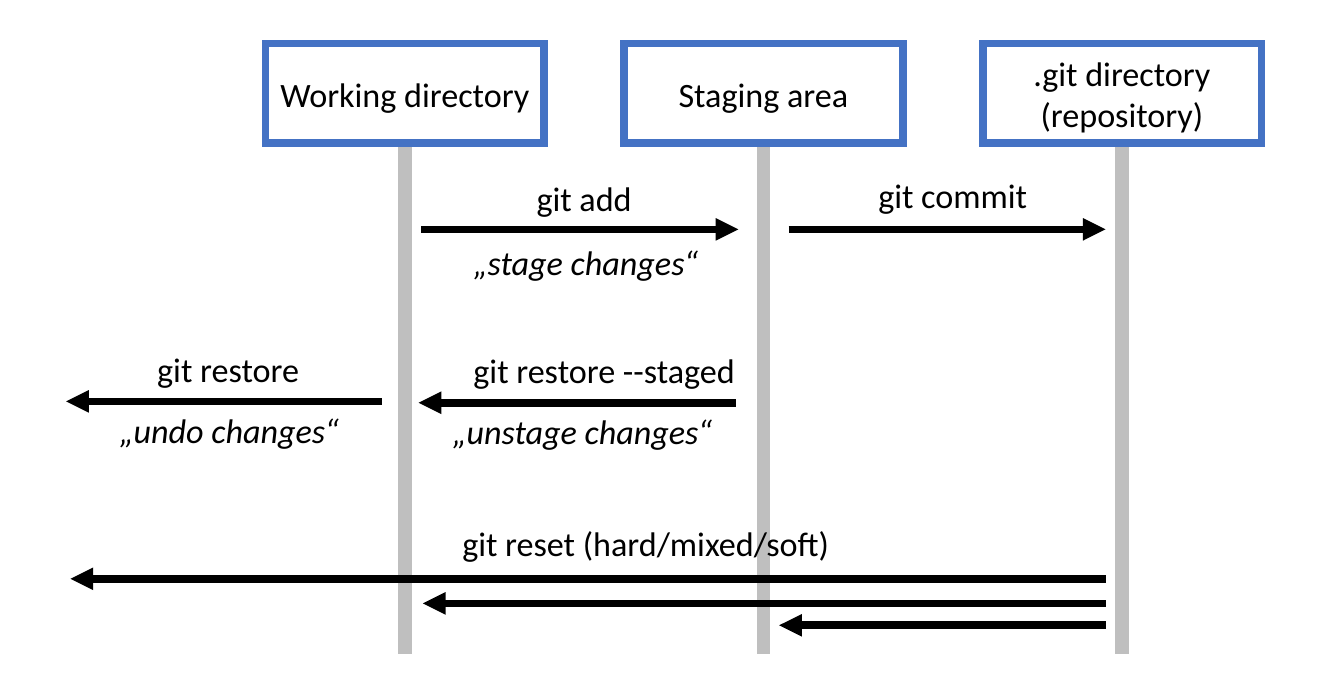
"""Draw how git commands move changes between the working directory, staging area and repository."""
import pptx
import pptx.util
import pptx.dml.color
import pptx.enum.shapes
import pptx.enum.text
import pptx.oxml.ns
from lxml import etree

BLACK = pptx.dml.color.RGBColor(0x00, 0x00, 0x00)
WHITE = pptx.dml.color.RGBColor(0xFF, 0xFF, 0xFF)
BLUE = pptx.dml.color.RGBColor(0x44, 0x72, 0xC4)
GREY = pptx.dml.color.RGBColor(0xBF, 0xBF, 0xBF)

LANE_STEP = 10
BOX_WIDTH, BOX_TOP, BOX_HEIGHT = 7.77, 3.2, 7.3
LANE_END = 47.9
LABEL_HEIGHT = 4


class Diagram:
    font, size = "Calibri", 18
    left, column, row = 0.34, 0.26, 0.1

    def __init__(self, s):
        self.s = s
        self.column = 2.625 / LANE_STEP

    def x(self, col):
        return pptx.util.Inches(self.left + col * self.column)

    def y(self, row):
        return pptx.util.Inches(row * self.row)

    def frame(self, center, top, width, height):
        left = self.x(center - width / 2)
        return left, self.y(top), self.x(center + width / 2) - left, self.y(height)

    def add_text(self, tf, text, italic=False):
        tf.word_wrap = True
        p = tf.paragraphs[0]
        p.alignment = pptx.enum.text.PP_ALIGN.CENTER
        r = p.add_run()
        r.text = text
        r.font.name, r.font.size = self.font, pptx.util.Pt(self.size)
        r.font.italic = italic
        r.font.color.rgb = BLACK

    def stroke(self, sp, color, width):
        sp.line.color.rgb = color
        sp.line.width = pptx.util.Pt(width)
        return sp.element.spPr.find(pptx.oxml.ns.qn("a:ln"))

    def box(self, center, text):
        sp = self.s.shapes.add_shape(pptx.enum.shapes.MSO_SHAPE.RECTANGLE,
                                     *self.frame(center, BOX_TOP, BOX_WIDTH, BOX_HEIGHT))
        sp.shadow.inherit = False
        sp.fill.solid()
        sp.fill.fore_color.rgb = WHITE
        ln = self.stroke(sp, BLUE, 4)
        etree.SubElement(ln, pptx.oxml.ns.qn("a:miter"), lim="800000")
        sp.text_frame.vertical_anchor = pptx.enum.text.MSO_ANCHOR.MIDDLE
        self.add_text(sp.text_frame, text)

    def label(self, center, top, width, text, italic=False):
        sp = self.s.shapes.add_textbox(*self.frame(center, top, width, LABEL_HEIGHT))
        self.add_text(sp.text_frame, text, italic)

    def line(self, start, end, color, width, arrow=False):
        sp = self.s.shapes.add_connector(
            pptx.enum.shapes.MSO_CONNECTOR.STRAIGHT,
            self.x(start[0]), self.y(start[1]), self.x(end[0]), self.y(end[1]))
        ln = self.stroke(sp, color, width)
        if arrow:
            etree.SubElement(ln, pptx.oxml.ns.qn("a:tailEnd"), type="triangle")
        etree.SubElement(sp.element.spPr, pptx.oxml.ns.qn("a:effectLst"))

    def arrow(self, start, end, row):
        self.line((start, row), (end, row), BLACK, 4, arrow=True)


prs = pptx.Presentation()
prs.slide_width = pptx.util.Inches(9.84)
prs.slide_height = pptx.util.Inches(5.12)
diagram = Diagram(prs.slides.add_slide(prs.slide_layouts[6]))

places = ["Working directory", "Staging area", ".git directory (repository)"]
for number, place in enumerate(places, 1):
    lane = number * LANE_STEP
    diagram.line((lane, BOX_TOP + BOX_HEIGHT), (lane, LANE_END), GREY, 7)
    diagram.box(lane, place)

for start, end, row in [
    (10.46, 19.3, 16.8),
    (20.7, 29.54, 16.8),
    (9.35, 0.55, 29.4),
    (19.22, 10.38, 29.5),
    (29.54, 0.67, 42.4),
    (29.54, 10.5, 44.2),
    (29.54, 20.44, 45.8),
]:
    diagram.arrow(start, end, row)

for center, top, width, command in [
    (15, 12.5, 4.61, "git add"),
    (25.28, 12.3, 5.56, "git commit"),
    (5.07, 25, 5.07, "git restore"),
    (15.56, 25.1, 8.99, "git restore --staged"),
    (16.72, 37.8, 13.14, "git reset (hard/mixed/soft)"),
]:
    diagram.label(center, top, width, command)

for center, top, width, effect in [
    (15.05, 17.2, 7.43, "„stage changes“"),
    (5.1, 29.5, 7.43, "„undo changes“"),
    (14.95, 29.6, 8.15, "„unstage changes“"),
]:
    diagram.label(center, top, width, effect, italic=True)

prs.save("out.pptx")
